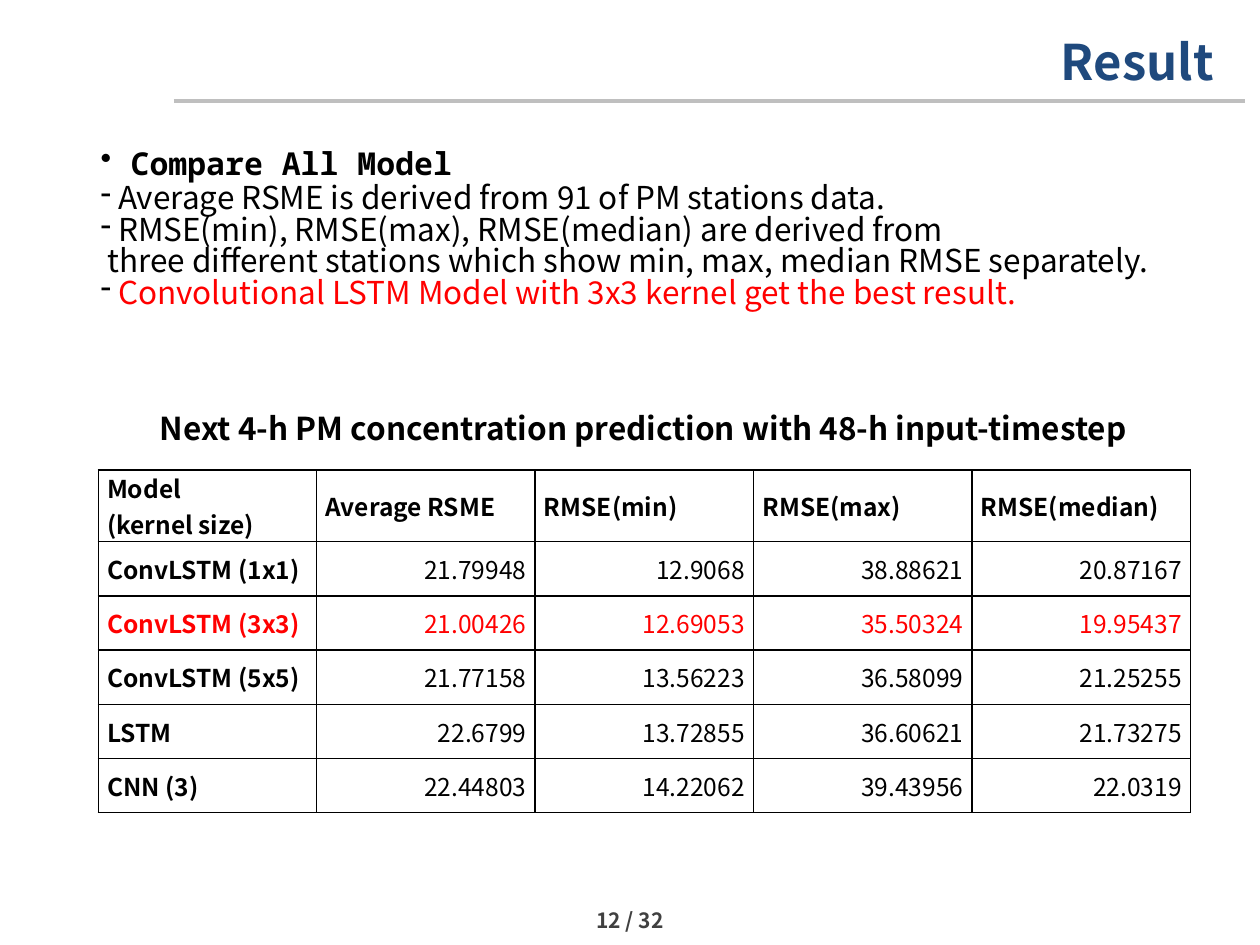
"""Build the model comparison result slide."""
from lxml.etree import SubElement
from pptx import Presentation
from pptx.dml.color import RGBColor
from pptx.enum.shapes import MSO_CONNECTOR
from pptx.enum.text import MSO_ANCHOR as Anchor, PP_ALIGN as Align
from pptx.oxml import parse_xml
from pptx.oxml.ns import nsdecls, qn
from pptx.util import Inches, Pt

SANS = "Noto Sans CJK KR"
MONO = "Noto Sans Mono"
BLACK = RGBColor(0x00, 0x00, 0x00)
RED = RGBColor(0xFF, 0x00, 0x00)
NAVY = RGBColor(0x1F, 0x49, 0x7D)
DARK_GRAY = RGBColor(0x40, 0x40, 0x40)
RULE_GRAY = RGBColor(0xBF, 0xBF, 0xBF)

TITLE = "Result"
PAGE = "12 / 32"
CAPTION = "Next 4-h PM concentration prediction with 48-h input-timestep"
HEADING = " Compare All Model"
POINTS = [
    ("-", [(" Average RSME is derived from 91 of PM stations data.", BLACK)]),
    ("-", [(" RMSE(min), RMSE(max), RMSE(median) are derived from", BLACK)]),
    (None, [(" three different stations which show min, max, median RMSE separately.", BLACK)]),
    ("-", [(" ", BLACK), ("Convolutional LSTM Model with 3x3 kernel get the best result.", RED)]),
]
HEADER = ["Model \v(kernel size)", "Average RSME", "RMSE(min)", "RMSE(max)", "RMSE(median)"]
RESULTS = [
    ["ConvLSTM (1x1)", "21.79948", "12.9068", "38.88621", "20.87167"],
    ["ConvLSTM (3x3)", "21.00426", "12.69053", "35.50324", "19.95437"],
    ["ConvLSTM (5x5)", "21.77158", "13.56223", "36.58099", "21.25255"],
    ["LSTM", "22.6799", "13.72855", "36.60621", "21.73275"],
    ["CNN (3)", "22.44803", "14.22062", "39.43956", "22.0319"],
]
BEST_MODEL = "ConvLSTM (3x3)"
HEADER_HEIGHT, ROW_HEIGHT = 0.57, 0.43


def write(paragraph, text, size=18, font=SANS, color=BLACK, bold=False, align=None, spacing=None):
    """Append text to a paragraph in the given format."""
    if align is not None:
        paragraph.alignment = align
    if spacing is not None:
        paragraph.line_spacing = spacing
    for index, line in enumerate(text.split("\v")):
        if index:
            paragraph.add_line_break()
        run = paragraph.add_run()
        run.text = line
        run.font.size = Pt(size)
        run.font.name = font
        run.font.bold = bold
        run.font.color.rgb = color


def add_box(slide, left, top, width, height, anchor=Anchor.TOP):
    """Add an empty wrapping text box and return its text frame."""
    frame = slide.shapes.add_textbox(*map(Inches, (left, top, width, height))).text_frame
    frame.word_wrap = True
    frame.vertical_anchor = anchor
    return frame


def add_rule(slide):
    """Draw the line below the title."""
    ends = map(Inches, (1.38, 0.8, 9.88, 0.8))
    rule = slide.shapes.add_connector(MSO_CONNECTOR.STRAIGHT, *ends)
    rule.line.color.rgb = RULE_GRAY
    rule.line.width = Pt(2.25)
    SubElement(rule._element.spPr, qn("a:effectLst"))


def add_bullet(paragraph, character):
    """Give a paragraph a bullet character."""
    SubElement(paragraph._p.get_or_add_pPr(), qn("a:buChar")).set("char", character)


def add_points(slide):
    """Write the heading and the findings below it."""
    frame = add_box(slide, 0.7, 1.09, 8.67, 1.62)
    heading = frame.paragraphs[0]
    add_bullet(heading, "•")
    heading.space_after = Pt(2)
    write(heading, HEADING, font=MONO, bold=True)
    for bullet, runs in POINTS:
        paragraph = frame.add_paragraph()
        if bullet:
            add_bullet(paragraph, bullet)
        for text, color in runs:
            write(paragraph, text, color=color, spacing=0.83)


def add_borders(cell):
    """Give a cell thin black borders on all sides."""
    properties = cell._tc.get_or_add_tcPr()
    for index, side in enumerate("LRTB"):
        border = parse_xml(
            f'<a:ln{side} {nsdecls("a")} w="{Pt(1)}"><a:solidFill>'
            f'<a:srgbClr val="{BLACK}"/></a:solidFill></a:ln{side}>')
        properties.insert(index, border)


def add_results(slide):
    """Add the table of errors per model."""
    rows = [HEADER] + RESULTS
    height = HEADER_HEIGHT + ROW_HEIGHT * len(RESULTS)
    size = map(Inches, (0.78, 3.73, 8.67, height))
    table = slide.shapes.add_table(len(rows), len(HEADER), *size).table
    table.first_row = table.horz_banding = False
    for row_index, values in enumerate(rows):
        table.rows[row_index].height = Inches(ROW_HEIGHT if row_index else HEADER_HEIGHT)
        color = RED if values[0] == BEST_MODEL else BLACK
        for column_index, value in enumerate(values):
            cell = table.cell(row_index, column_index)
            cell.fill.background()
            add_borders(cell)
            cell.vertical_anchor = Anchor.MIDDLE
            cell.margin_left = cell.margin_right = Inches(0.07)
            cell.margin_top = cell.margin_bottom = 0
            is_label = row_index == 0 or column_index == 0
            write(cell.text_frame.paragraphs[0], value, size=14, color=color, bold=is_label,
                  align=Align.LEFT if is_label else Align.RIGHT)


def main():
    """Assemble and save the slide."""
    presentation = Presentation()
    presentation.slide_width, presentation.slide_height = Inches(10), Inches(7.5)
    slide = presentation.slides.add_slide(presentation.slide_layouts[6])
    add_rule(slide)
    title = add_box(slide, 1, 0.21, 8.73, 0.45)
    write(title.paragraphs[0], TITLE, size=28, color=NAVY, bold=True, align=Align.RIGHT,
          spacing=Pt(33))
    page = add_box(slide, 4.49, 7.14, 1.02, 0.32, Anchor.MIDDLE)
    write(page.paragraphs[0], PAGE, size=12, color=DARK_GRAY, bold=True, align=Align.CENTER)
    add_results(slide)
    add_points(slide)
    caption = add_box(slide, 1.17, 3.2, 8.2, 0.4)
    write(caption.paragraphs[0], CAPTION, bold=True, spacing=Pt(21.5))
    presentation.save("out.pptx")


if __name__ == "__main__":
    main()
